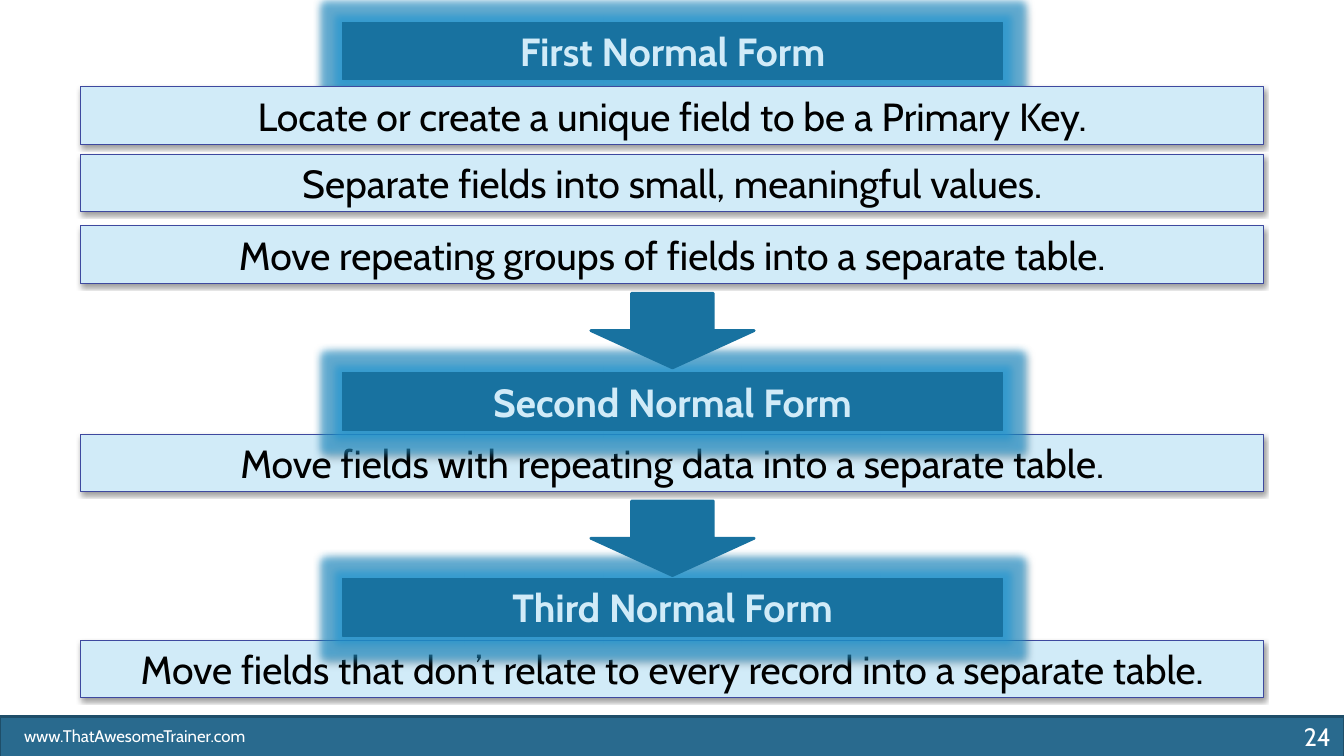
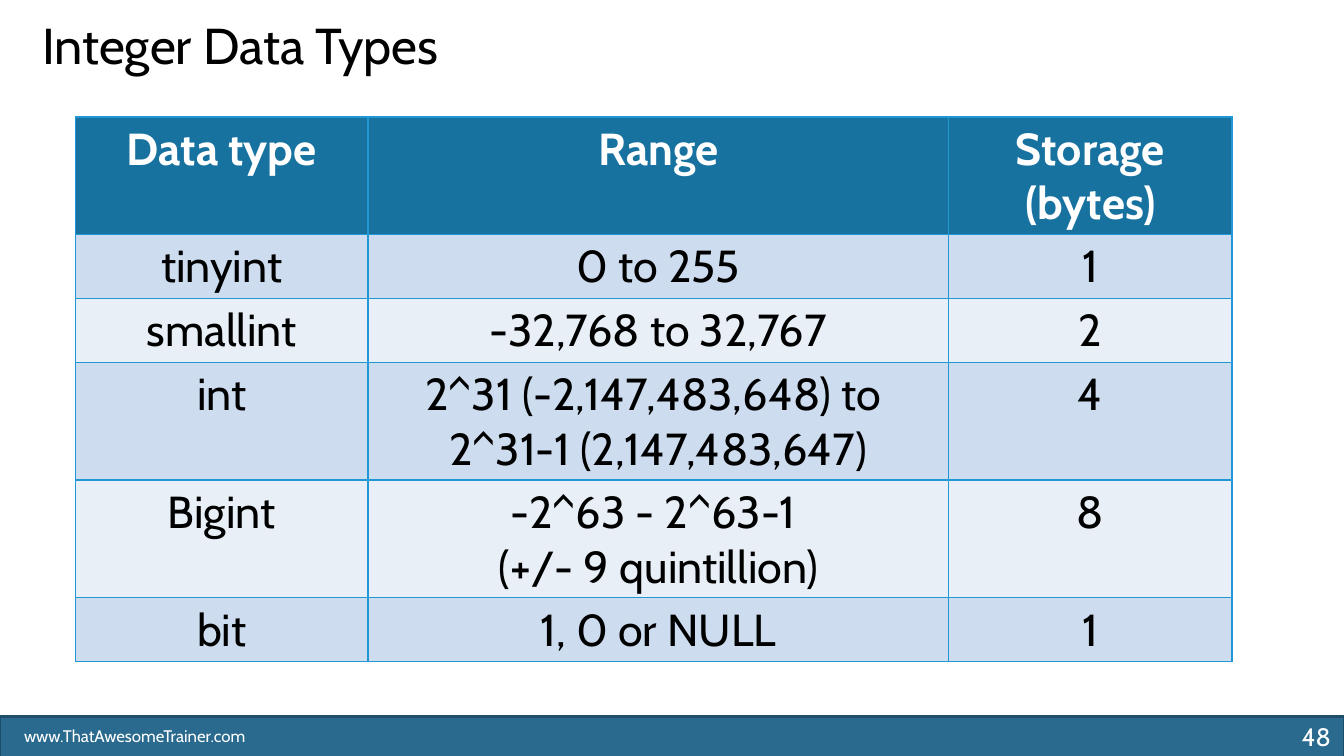
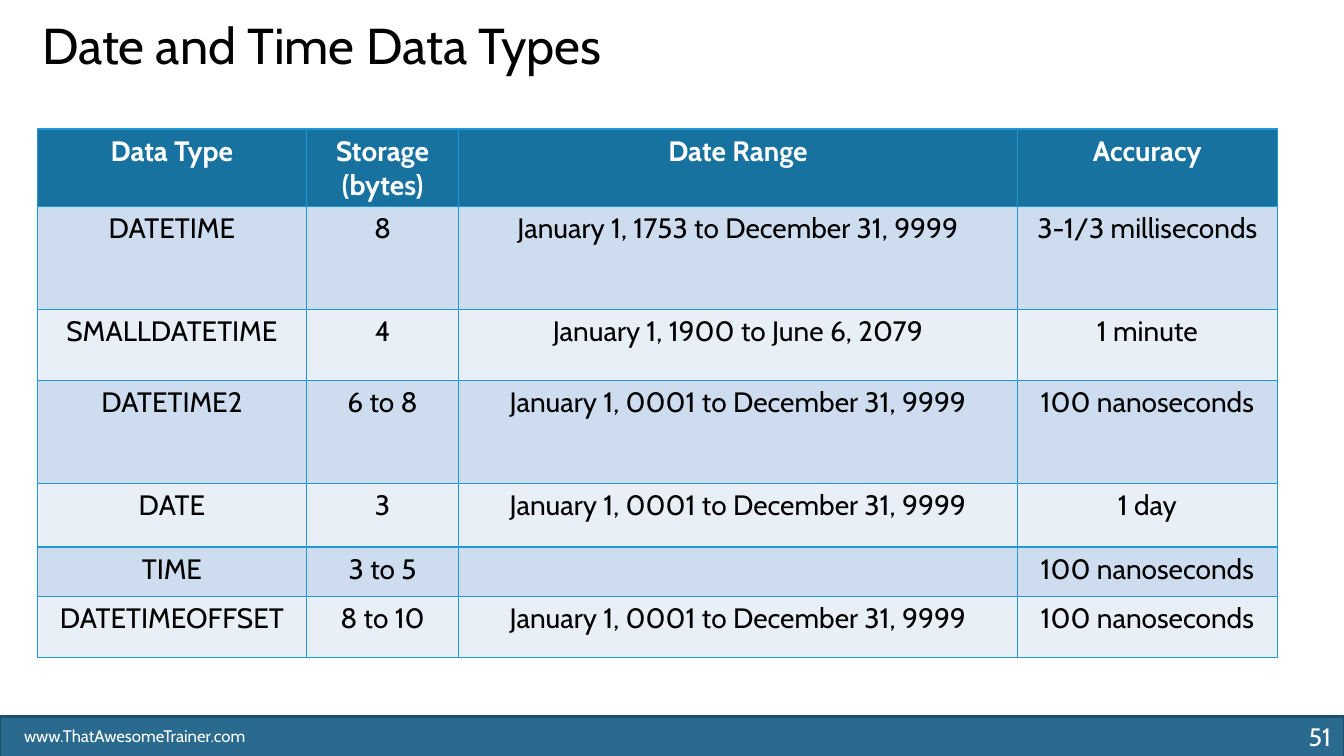
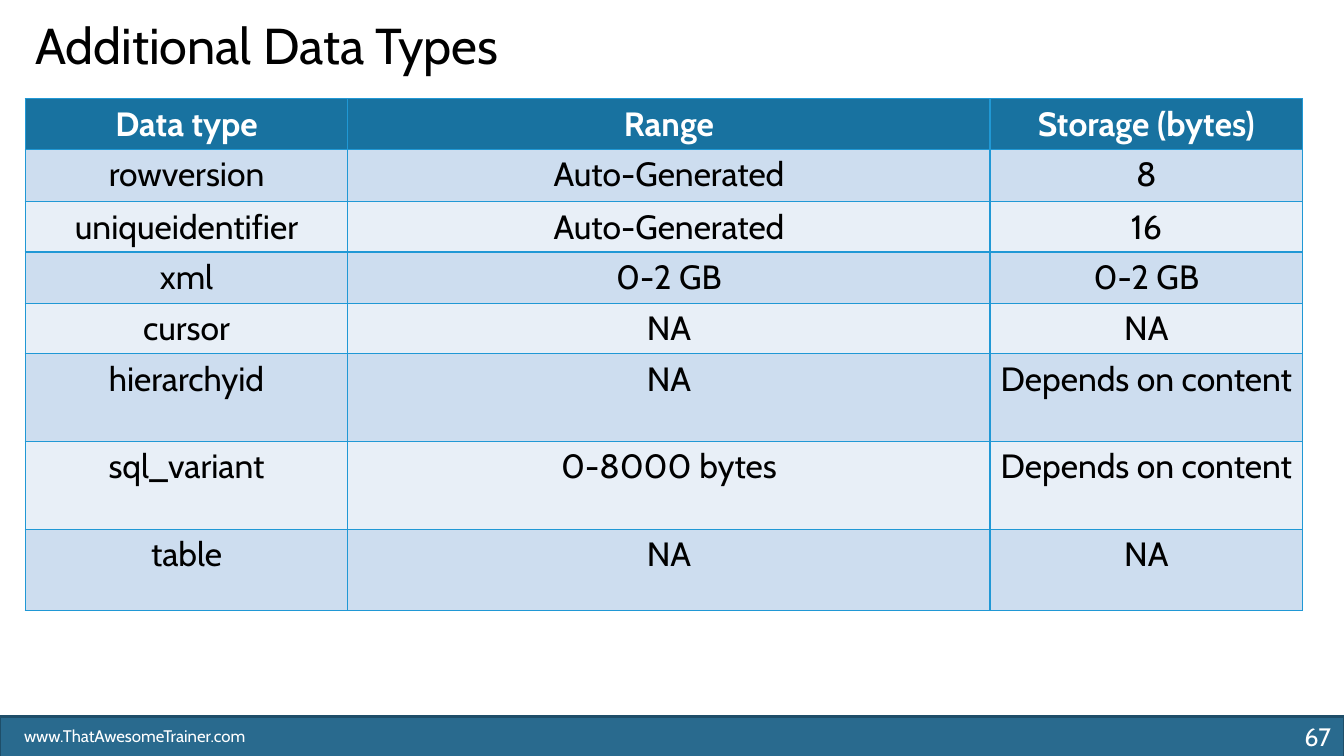
from dataclasses import dataclass

from lxml import etree
from pptx import Presentation
from pptx.dml.color import RGBColor
from pptx.enum import shapes, text
from pptx.oxml import ns
from pptx.shapes.autoshape import Shape
from pptx.slide import Slide
from pptx.table import _Cell as Cell
from pptx.text.text import TextFrame
from pptx.util import Inches, Pt


@dataclass(frozen=True)
class Theme:
    font: str = "Cabin"
    white: str = "FFFFFF"
    black: str = "000000"
    deep_blue: str = "1872A0"
    pale_blue: str = "D1EBF8"
    step_line: str = "3E499F"
    footer_fill: str = "296A8E"
    footer_line: str = "1E4E69"
    bright_blue: str = "2098D5"
    odd_row: str = "CDDDEF"
    even_row: str = "E8EFF7"
    title_size: int = 36
    title_leading: int = 35
    form_size: int = 28
    number_size: int = 18
    address_size: int = 12


THEME = Theme()
SLIDE_WIDTH = 13.33
SLIDE_HEIGHT = 7.5
FOOTER_TOP = 7.11
FOOTER_HEIGHT = 0.4


@dataclass(frozen=True)
class Box:
    left: float
    top: float
    width: float
    height: float

    def lengths(self) -> tuple[Inches, Inches, Inches, Inches]:
        return Inches(self.left), Inches(self.top), Inches(self.width), Inches(self.height)


@dataclass(frozen=True)
class Style:
    size: int
    color: str
    bold: bool = False
    align: text.PP_ALIGN = text.PP_ALIGN.LEFT


@dataclass(frozen=True)
class BarStyle:
    left: float
    width: float
    fill: str
    line: str
    style: Style
    glow: bool


@dataclass(frozen=True)
class Bar:
    look: BarStyle
    top: float
    words: str


@dataclass(frozen=True)
class TableSlide:
    number: int
    title: str
    title_left: float
    left: float
    top: float
    size: int
    columns: list[float]
    heights: list[float]
    rows: list[list[str]]


BAR_HEIGHT = 0.57
HEADING = BarStyle(
    3.4, 6.54, THEME.deep_blue, THEME.deep_blue,
    Style(THEME.form_size, THEME.pale_blue, True, text.PP_ALIGN.CENTER), True,
)
STEP = BarStyle(
    0.8, 11.73, THEME.pale_blue, THEME.step_line,
    Style(THEME.form_size, THEME.black, False, text.PP_ALIGN.CENTER), False,
)
BARS = [
    Bar(STEP, 2.24, "Move repeating groups of fields into a separate table."),
    Bar(HEADING, 0.22, "First Normal Form"),
    Bar(STEP, 4.31, "Move fields with repeating data into a separate table."),
    Bar(HEADING, 3.7, "Second Normal Form"),
    Bar(STEP, 6.35, "Move fields that don’t relate to every record into a separate table."),
    Bar(HEADING, 5.74, "Third Normal Form"),
    Bar(STEP, 0.86, "Locate or create a unique field to be a Primary Key."),
    Bar(STEP, 1.53, "Separate fields into small, meaningful values."),
]
ARROW_TOPS = [2.91, 4.97]

FULL_RANGE = "January 1, 0001 to December 31, 9999"
TABLE_SLIDES = [
    TableSlide(
        48, "Integer Data Types", 0.32, 0.75, 1.16, 32,
        [2.9, 5.76, 2.81],
        [0.58, 0.58, 0.58, 1.04, 1.04, 0.58],
        [
            ["Data type", "Range", "Storage (bytes)"],
            ["tinyint", "0 to 255", "1"],
            ["smallint", "-32,768 to 32,767", "2"],
            ["int", "2^31 (-2,147,483,648) to \n2^31-1 (2,147,483,647)", "4"],
            ["Bigint", "-2^63 - 2^63-1 \n(+/- 9 quintillion)", "8"],
            ["bit", "1, 0 or NULL", "1"],
        ],
    ),
    TableSlide(
        51, "Date and Time Data Types", 0.32, 0.37, 1.28, 20,
        [2.67, 1.51, 5.54, 2.58],
        [0.71, 1.02, 0.71, 1.02, 0.63, 0.49, 0.61],
        [
            ["Data Type", "Storage (bytes)", "Date Range", "Accuracy"],
            ["DATETIME", "8", "January 1, 1753 to December 31, 9999", "3-1/3 milliseconds"],
            ["SMALLDATETIME", "4", "January 1, 1900 to June 6, 2079", "1 minute"],
            ["DATETIME2", "6 to 8", FULL_RANGE, "100 nanoseconds"],
            ["DATE", "3", FULL_RANGE, "1 day"],
            ["TIME", "3 to 5", "", "100 nanoseconds"],
            ["DATETIMEOFFSET", "8 to 10", FULL_RANGE, "100 nanoseconds"],
        ],
    ),
    TableSlide(
        67, "Additional Data Types", 0.25, 0.25, 0.98, 24,
        [3.2, 6.37, 3.1],
        [0.48, 0.52, 0.48, 0.51, 0.48, 0.87, 0.87, 0.81],
        [
            ["Data type", "Range", "Storage (bytes)"],
            ["rowversion", "Auto-Generated", "8"],
            ["uniqueidentifier", "Auto-Generated", "16"],
            ["xml", "0-2 GB", "0-2 GB"],
            ["cursor", "NA", "NA"],
            ["hierarchyid", "NA", "Depends on content"],
            ["sql_variant", "0-8000 bytes", "Depends on content"],
            ["table", "NA", "NA"],
        ],
    ),
]


def rgb(color: str) -> RGBColor:
    return RGBColor.from_string(color)


def write(frame: TextFrame, words: str, style: Style) -> None:
    paragraph = frame.paragraphs[0]
    paragraph.alignment = style.align
    for index, line in enumerate(words.split("\n")):
        if index:
            paragraph.add_line_break()
        if line:
            run = paragraph.add_run()
            run.text = line
            run.font.name = THEME.font
            run.font.size = Pt(style.size)
            run.font.bold = style.bold
            run.font.color.rgb = rgb(style.color)


def add_text(slide: Slide, box: Box, words: str, style: Style,
             anchor: text.MSO_ANCHOR = text.MSO_ANCHOR.TOP) -> Shape:
    shape = slide.shapes.add_textbox(*box.lengths())
    shape.text_frame.word_wrap = True
    shape.text_frame.vertical_anchor = anchor
    write(shape.text_frame, words, style)
    return shape


def add_filled(slide: Slide, kind: shapes.MSO_SHAPE, box: Box, fill: str,
               line: str, line_width: float) -> Shape:
    shape = slide.shapes.add_shape(kind, *box.lengths())
    shape.shadow.inherit = False
    shape.fill.solid()
    shape.fill.fore_color.rgb = rgb(fill)
    shape.line.color.rgb = rgb(line)
    shape.line.width = Pt(line_width)
    return shape


def add_color(parent: etree._Element, color: str, opacity: int) -> None:
    node = etree.SubElement(parent, ns.qn("a:srgbClr"), val=color)
    etree.SubElement(node, ns.qn("a:alpha"), val=str(opacity * 1000))


def add_effects(shape: Shape, glow: bool) -> None:
    effects = shape.element.spPr.find(ns.qn("a:effectLst"))
    if glow:
        halo = etree.SubElement(effects, ns.qn("a:glow"), rad=str(Pt(11)))
        add_color(halo, THEME.bright_blue, 60)
    shadow = etree.SubElement(
        effects, ns.qn("a:outerShdw"), blurRad=str(Pt(3.1)), dist=str(Pt(1.6)),
        dir="5400000", rotWithShape="0",
    )
    add_color(shadow, THEME.black, 38)


def add_bar(slide: Slide, bar: Bar) -> None:
    look = bar.look
    box = Box(look.left, bar.top, look.width, BAR_HEIGHT)
    shape = add_filled(slide, shapes.MSO_SHAPE.RECTANGLE, box, look.fill, look.line, 0.75)
    add_effects(shape, look.glow)
    shape.text_frame.word_wrap = True
    shape.text_frame.vertical_anchor = text.MSO_ANCHOR.MIDDLE
    write(shape.text_frame, bar.words, look.style)


def add_borders(cell: Cell) -> None:
    properties = cell._tc.get_or_add_tcPr()
    for index, side in enumerate(("lnL", "lnR", "lnT", "lnB")):
        line = etree.Element(ns.qn(f"a:{side}"), w=str(Pt(1)))
        fill = etree.SubElement(line, ns.qn("a:solidFill"))
        etree.SubElement(fill, ns.qn("a:srgbClr"), val=THEME.bright_blue)
        properties.insert(index, line)


def add_data_table(slide: Slide, content: TableSlide) -> None:
    box = Box(content.left, content.top, sum(content.columns), sum(content.heights))
    table = slide.shapes.add_table(
        len(content.rows), len(content.columns), *box.lengths()
    ).table
    table.horz_banding = False
    for column, width in zip(table.columns, content.columns):
        column.width = Inches(width)
    for row, height in zip(table.rows, content.heights):
        row.height = Inches(height)
    for row_index, row_words in enumerate(content.rows):
        header = row_index == 0
        band = THEME.odd_row if row_index % 2 else THEME.even_row
        style = Style(content.size, THEME.white if header else THEME.black,
                      header, text.PP_ALIGN.CENTER)
        for column_index, words in enumerate(row_words):
            cell = table.cell(row_index, column_index)
            cell.fill.solid()
            cell.fill.fore_color.rgb = rgb(THEME.deep_blue if header else band)
            add_borders(cell)
            write(cell.text_frame, words, style)


def add_title(slide: Slide, left: float, words: str) -> None:
    shape = add_text(slide, Box(left, 0.2, 12, 1.25), words,
                     Style(THEME.title_size, THEME.black))
    shape.text_frame.paragraphs[0].line_spacing = Pt(THEME.title_leading)


def add_slide(presentation: Presentation, number: int) -> Slide:
    slide = presentation.slides.add_slide(presentation.slide_layouts[6])
    add_filled(slide, shapes.MSO_SHAPE.RECTANGLE,
               Box(0, FOOTER_TOP, SLIDE_WIDTH, FOOTER_HEIGHT),
               THEME.footer_fill, THEME.footer_line, 2)
    add_text(slide, Box(0.14, 7.15, 2.55, 0.3), "www.ThatAwesomeTrainer.com",
             Style(THEME.address_size, THEME.white), text.MSO_ANCHOR.MIDDLE)
    add_text(slide, Box(12.52, FOOTER_TOP, 0.78, FOOTER_HEIGHT), str(number),
             Style(THEME.number_size, THEME.white, align=text.PP_ALIGN.RIGHT),
             text.MSO_ANCHOR.MIDDLE)
    return slide


def add_normal_forms(presentation: Presentation) -> None:
    slide = add_slide(presentation, 24)
    for bar in BARS:
        add_bar(slide, bar)
    for top in ARROW_TOPS:
        add_filled(slide, shapes.MSO_SHAPE.DOWN_ARROW, Box(5.86, top, 1.62, 0.74),
                   THEME.deep_blue, THEME.deep_blue, 2)


def add_table_slide(presentation: Presentation, content: TableSlide) -> None:
    slide = add_slide(presentation, content.number)
    add_data_table(slide, content)
    add_title(slide, content.title_left, content.title)


def main() -> None:
    presentation = Presentation()
    presentation.slide_width = Inches(SLIDE_WIDTH)
    presentation.slide_height = Inches(SLIDE_HEIGHT)
    add_normal_forms(presentation)
    for content in TABLE_SLIDES:
        add_table_slide(presentation, content)
    presentation.save("out.pptx")


if __name__ == "__main__":
    main()
